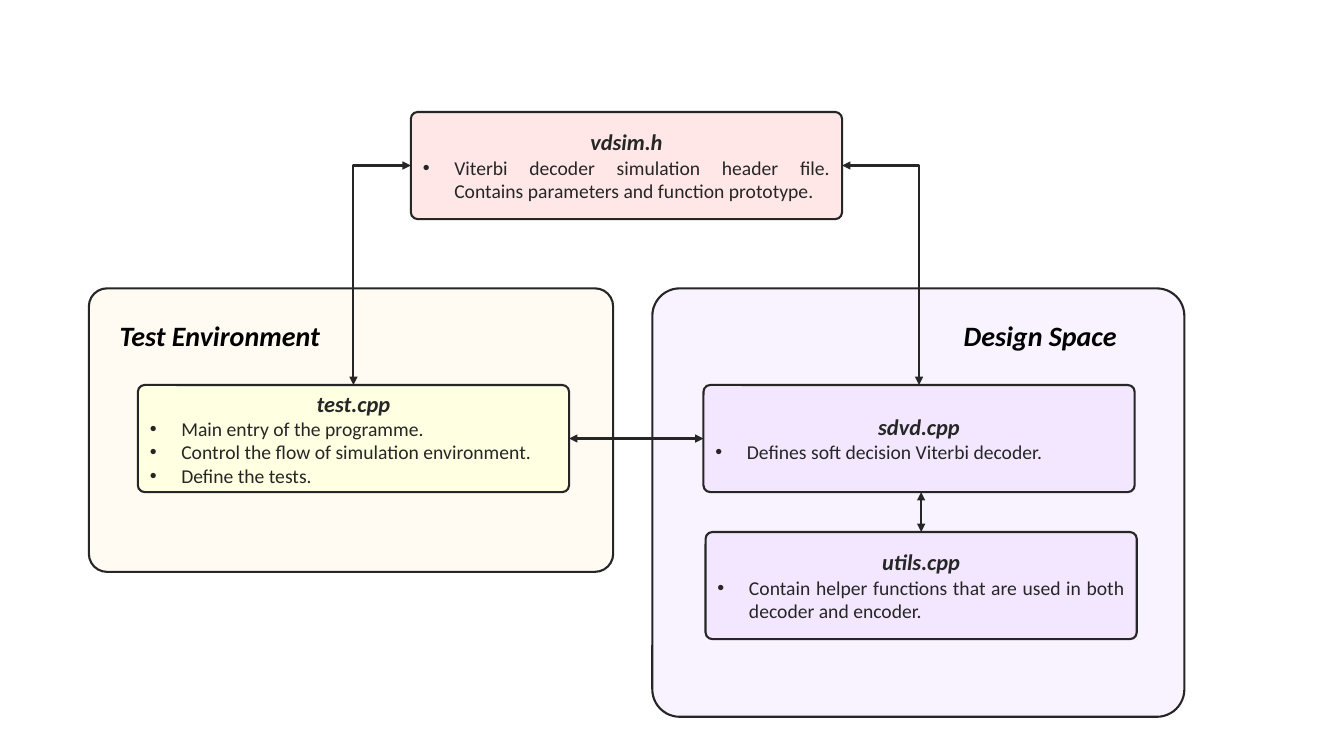
from lxml.etree import SubElement
from pptx import Presentation
from pptx.dml.color import RGBColor
from pptx.enum.shapes import MSO_CONNECTOR as Connector, MSO_SHAPE as Shape
from pptx.enum.text import MSO_ANCHOR as Anchor, MSO_AUTO_SIZE as AutoSize, PP_ALIGN as Align
from pptx.oxml.ns import qn
from pptx.util import Pt

INK = "262626"
FONT = "Calibri"
NODE_WIDTH, NODE_HEIGHT = 308, 76.5
LABEL_WIDTH, LABEL_HEIGHT = 223, 31.5
BULLET_INDENT = 22.5
TOP, LEFT, BOTTOM, RIGHT = range(4)


def color(hex_code):
    return RGBColor.from_string(hex_code)


def add_text(para, text, size=14, ink=INK, strong=False, align=Align.CENTER):
    para.alignment = align
    span = para.add_run()
    span.text = text
    span.font.name = FONT
    span.font.size = Pt(size)
    span.font.bold = span.font.italic = strong
    span.font.color.rgb = color(ink)


def add_bullet(para):
    props = para._p.get_or_add_pPr()
    props.set("marL", str(Pt(BULLET_INDENT)))
    props.set("indent", str(-Pt(BULLET_INDENT)))
    SubElement(props, qn("a:buFont"), typeface="Arial")
    SubElement(props, qn("a:buChar"), char="•")


def add_panel(page, left, top, width, height, fill):
    """Draw an outlined rounded box."""
    box = page.shapes.add_shape(Shape.ROUNDED_RECTANGLE, Pt(left), Pt(top), Pt(width), Pt(height))
    box.adjustments[0] = 0.064
    box.shadow.inherit = False
    box.fill.solid()
    box.fill.fore_color.rgb = color(fill)
    box.line.color.rgb = color(INK)
    box.line.width = Pt(1.5)
    return box


def add_node(page, left, top, fill, name, points):
    """Draw a source file box with its name and bulleted points."""
    box = add_panel(page, left, top, NODE_WIDTH, NODE_HEIGHT, fill)
    frame = box.text_frame
    frame.word_wrap = True
    frame.vertical_anchor = Anchor.MIDDLE
    add_text(frame.paragraphs[0], name, size=16, strong=True)
    for point in points:
        para = frame.add_paragraph()
        add_text(para, point, align=Align.JUSTIFY)
        add_bullet(para)
    return box


def add_label(page, left, top, text):
    box = page.shapes.add_textbox(Pt(left), Pt(top), Pt(LABEL_WIDTH), Pt(LABEL_HEIGHT))
    box.text_frame.word_wrap = True
    box.text_frame.auto_size = AutoSize.SHAPE_TO_FIT_TEXT
    add_text(box.text_frame.paragraphs[0], text, size=20, ink="000000", strong=True)


def add_test_environment(page, left, top, width, height):
    add_panel(page, left, top, width, height, "FFFBF3")
    add_label(page, left - 18, top + 18, "Test Environment")
    return add_node(page, left + 35, top + 69, "FFFFE1", "test.cpp", [
        "Main entry of the programme.",
        "Control the flow of simulation environment.",
        "Define the tests.",
    ])


def add_design_space(page, left, top, width, height):
    add_panel(page, left, top, width, height, "F9F3FF")
    add_label(page, left + 165.5, top + 18, "Design Space")
    decoder = add_node(page, left + 36.5, top + 69, "F3E7FF", "sdvd.cpp",
                       ["Defines soft decision Viterbi decoder."])
    helpers = add_node(page, left + 38, top + 174, "F3E7FF", "utils.cpp",
                       ["Contain helper functions that are used in both decoder and encoder."])
    return decoder, helpers


def add_arrow(page, kind, start=(0, 0), end=(0, 0)):
    """Draw a connector with an arrowhead at both ends."""
    arrow = page.shapes.add_connector(kind, *start, *end)
    arrow.line.color.rgb = color(INK)
    arrow.line.width = Pt(1.5)
    line = arrow.line._get_or_add_ln()
    for tag in ("a:headEnd", "a:tailEnd"):
        SubElement(line, qn(tag), type="triangle")
    SubElement(arrow._element.spPr, qn("a:effectLst"))
    return arrow


def join(page, kind, first, first_side, second, second_side):
    arrow = add_arrow(page, kind)
    arrow.begin_connect(first, first_side)
    arrow.end_connect(second, second_side)
    return arrow


def join_with_corner(page, first, first_side, second):
    """Run sideways from the first box, then turn once to the top of the second."""
    arrow = join(page, Connector.ELBOW, first, first_side, second, TOP)
    arrow._element.spPr.find(qn("a:prstGeom")).set("prst", "bentConnector2")


def join_upward(page, upper, lower):
    """Rise straight from the top middle of the lower box to the upper box."""
    middle = lower.left + lower.width // 2
    arrow = add_arrow(page, Connector.STRAIGHT,
                      (middle, upper.top + upper.height), (middle, lower.top))
    arrow.end_connect(lower, TOP)


def build_page(page):
    decoder, helpers = add_design_space(page, 466, 206, 380, 306)
    tests = add_test_environment(page, 63.5, 206, 374.5, 202.5)
    header = add_node(page, 293.5, 80, "FFE7E7", "vdsim.h", [
        "Viterbi decoder simulation header file. Contains parameters and function prototype.",
    ])
    join_with_corner(page, header, LEFT, tests)
    join_with_corner(page, header, RIGHT, decoder)
    join(page, Connector.STRAIGHT, tests, RIGHT, decoder, LEFT)
    join_upward(page, decoder, helpers)


def main():
    deck = Presentation()
    deck.slide_width, deck.slide_height = Pt(960), Pt(540)
    build_page(deck.slides.add_slide(deck.slide_layouts[6]))
    deck.save("out.pptx")


if __name__ == "__main__":
    main()
